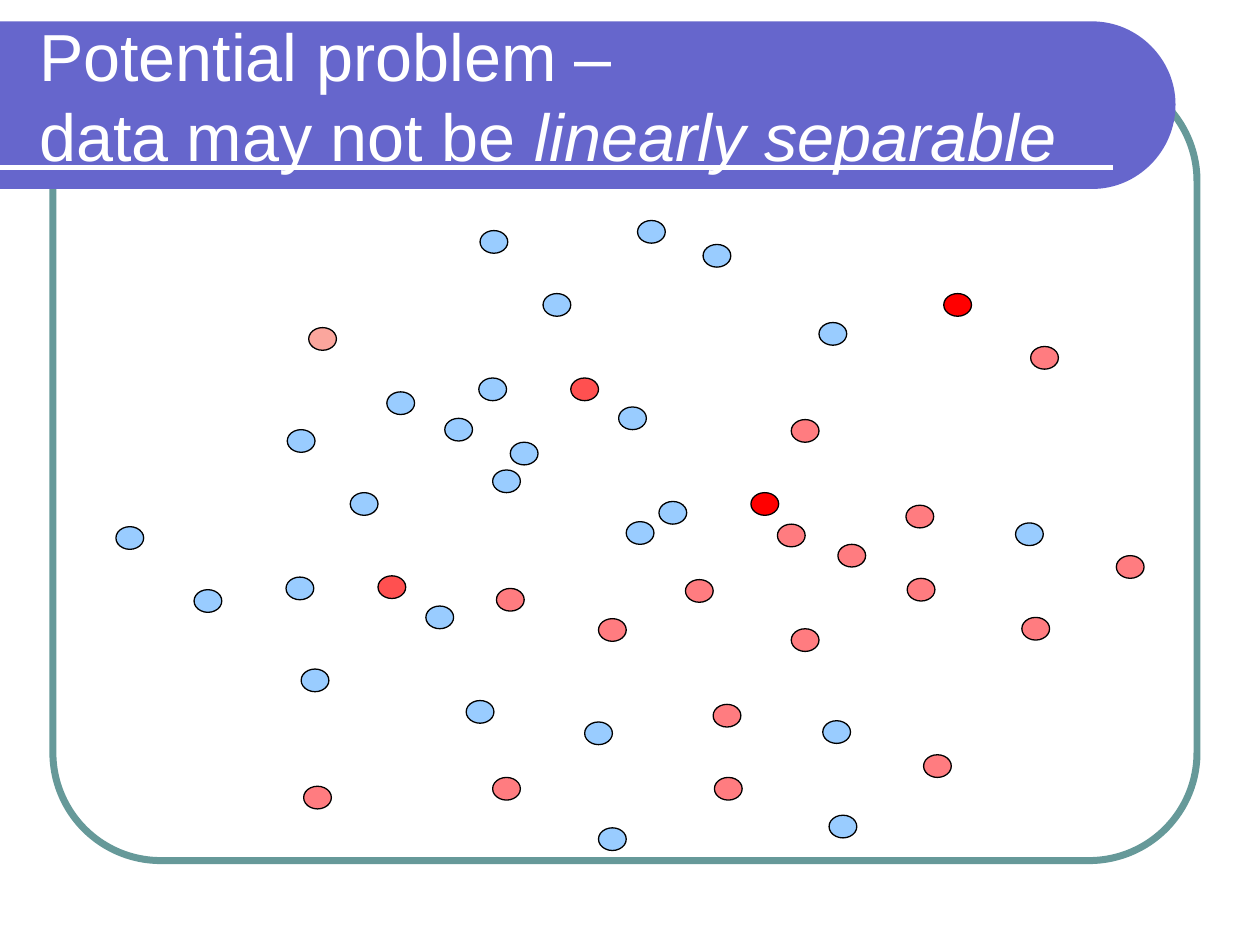
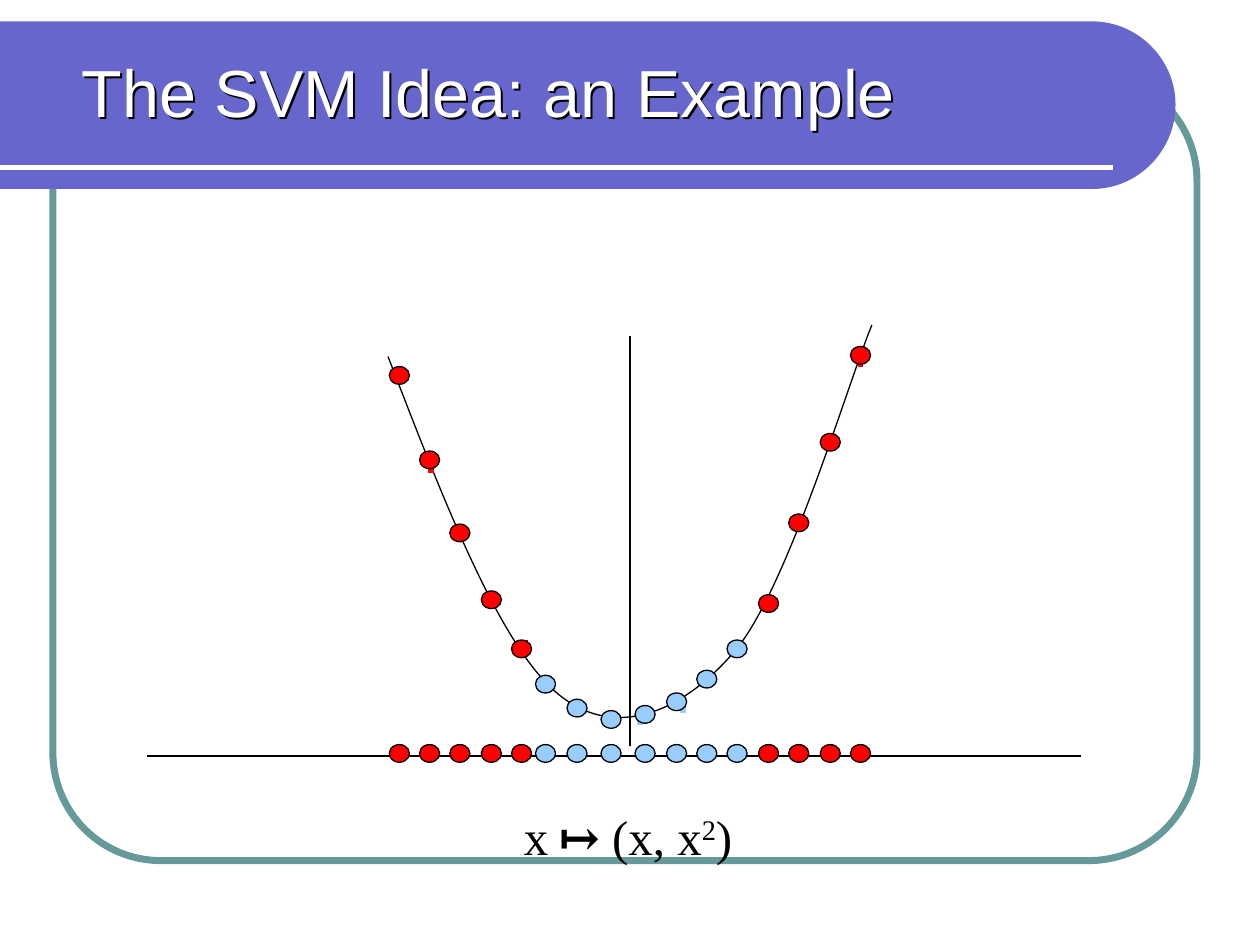
"""Two slides on linear separability and the SVM mapping."""
from dataclasses import dataclass

from lxml import etree
from pptx import Presentation
from pptx.dml.color import RGBColor
from pptx.enum import shapes, text
from pptx.oxml import ns
from pptx.util import Inches, Pt


@dataclass(frozen=True)
class Theme:
    white: str = "FFFFFF"
    black: str = "000000"
    band: str = "6666CC"
    frame: str = "669999"
    blue: str = "99CCFF"
    red: str = "FF0000"
    coral: str = "FF5050"
    pink: str = "FF7C80"
    pale: str = "FBA69D"
    title_font: str = "Arial"
    formula_font: str = "Times New Roman"
    title_size: int = 38
    formula_size: int = 28
    formula_gap_size: int = 24
    thin: float = 0.75
    rule: float = 3
    frame_width: float = 4


THEME = Theme()

SCATTER = {
    THEME.blue: [
        (3.92, 1.92), (5.17, 1.84), (5.69, 2.03), (5.34, 4.07), (4.02, 3.82),
        (6.61, 2.65), (4.42, 2.42), (3.18, 3.2), (5.02, 3.32), (3.91, 3.09),
        (8.17, 4.24), (1.03, 4.27), (2.39, 3.5), (3.64, 3.41), (4.16, 3.6),
        (3.81, 5.65), (2.5, 5.4), (5.08, 4.23), (2.89, 4), (1.65, 4.77),
        (3.49, 4.9), (4.86, 6.66), (2.38, 4.67), (4.75, 5.82), (6.69, 6.56),
        (6.64, 5.81),
    ],
    THEME.pink: [
        (8.29, 2.84), (8.97, 4.5), (6.39, 5.08), (7.3, 4.1), (5.55, 4.69),
        (6.28, 4.25), (7.31, 4.68), (8.22, 4.99), (6.39, 3.42), (4.05, 4.76),
        (6.76, 4.41), (7.44, 6.08), (5.77, 5.68), (4.02, 6.26), (5.78, 6.26),
        (4.86, 5), (2.52, 6.33),
    ],
    THEME.red: [(7.6, 2.42), (6.07, 4)],
    THEME.coral: [(4.64, 3.09), (3.11, 4.66)],
    THEME.pale: [(2.56, 2.69)],
}
SCATTER_DOT = (0.22, 0.18)

CURVE = [
    (3.08, 2.83), (3.52, 3.97), (3.96, 5.11), (4.42, 5.5), (4.88, 5.89),
    (5.42, 5.65), (5.83, 5.17), (6.25, 4.68), (6.74, 3.01), (6.92, 2.58),
]
CURVE_DOTS = [
    (3.17, 2.98), (3.41, 3.65), (3.65, 4.23), (3.9, 4.76), (4.14, 5.15),
    (4.33, 5.43), (4.58, 5.62), (4.85, 5.71), (5.12, 5.67), (5.37, 5.57),
    (5.61, 5.39), (5.85, 5.15), (6.1, 4.79), (6.34, 4.15), (6.59, 3.51),
    (6.83, 2.82),
]
CURVE_DOT = (0.16, 0.14)
AXIS_DOT_Y = 5.98
BLUE_RANGE = (4.2, 6)
TICKS = [
    (4.33, 5.42), (6.83, 2.83), (6.58, 3.5), (5.08, 5.67), (5.42, 5.58),
    (4.83, 5.67), (4.58, 5.58), (4.17, 5.08), (3.42, 3.67),
]
TICK_LENGTH = 0.08
AXES = [((5, 2.67), (5, 5.92)), ((1.17, 6), (8.58, 6))]
SPECK = (3.5, 5.5)
FORMULA = [
    ("x", {}),
    (" ", {"size": Pt(THEME.formula_gap_size)}),
    ("↦", {"bold": True}),
    (" (x, x", {}),
    ("2", {"raised": True}),
    (")", {}),
]
BAND = [
    (0, 0.17), (8.67, 0.17), (9.03, 0.17), (9.33, 0.47), (9.33, 0.83),
    (9.33, 1.2), (9.03, 1.5), (8.67, 1.5), (0, 1.5),
]


def rgb(color):
    return RGBColor.from_string(color)


def paint(shape, fill=None, line=None, width=THEME.thin):
    shape.shadow.inherit = False
    if fill:
        shape.fill.solid()
        shape.fill.fore_color.rgb = rgb(fill)
    else:
        shape.fill.background()
    if line:
        shape.line.color.rgb = rgb(line)
        shape.line.width = Pt(width)
    else:
        shape.line.fill.background()
    return shape


def add_line(page, start, end, color=THEME.black, width=THEME.thin):
    line = page.shapes.add_connector(
        shapes.MSO_CONNECTOR.STRAIGHT, *map(Inches, (*start, *end)))
    line.line.color.rgb = rgb(color)
    line.line.width = Pt(width)
    etree.SubElement(line.element.spPr, ns.qn("a:effectLst"))
    return line


def add_dot(page, center, size, color):
    (x, y), (width, height) = center, size
    box = map(Inches, (x - width / 2, y - height / 2, width, height))
    paint(page.shapes.add_shape(shapes.MSO_SHAPE.OVAL, *box), color, THEME.black)


def add_outline(page, points, curved, close=False):
    start, *rest = [(Inches(x), Inches(y)) for x, y in points]
    builder = page.shapes.build_freeform(*start)
    builder.add_line_segments(rest, close=close)
    shape = builder.convert_to_shape()
    segments = list(shape.element.iter(ns.qn("a:lnTo")))[curved]
    for first in range(0, len(segments), 3):
        bend = etree.Element(ns.qn("a:cubicBezTo"))
        segments[first].addprevious(bend)
        for segment in segments[first:first + 3]:
            bend.append(segment[0])
            segment.getparent().remove(segment)
    return shape


def set_font(font, name, size, color):
    font.name, font.size, font.color.rgb = name, Pt(size), rgb(color)


def move_frame_to_layout(page):
    layout = page.slide_layout
    for holder in list(layout.placeholders)[1:]:
        holder.element.getparent().remove(holder.element)
    frame = page.shapes.add_shape(
        shapes.MSO_SHAPE.ROUNDED_RECTANGLE, *map(Inches, (0.42, 0.58, 9.08, 6.25)))
    frame.adjustments[0] = 0.137
    paint(frame, line=THEME.frame, width=THEME.frame_width)
    band = paint(add_outline(page, BAND, slice(1, 7), close=True), THEME.band)
    rule = add_line(page, (0, 1.33), (8.83, 1.33), THEME.white, THEME.rule)
    tree = layout.placeholders[0].element.getparent()
    for position, part in enumerate((frame, band, rule), start=2):
        tree.insert(position, part.element)


def set_title(page, box, lines):
    title = page.shapes.title
    title.left, title.top, title.width, title.height = map(Inches, box)
    frame = title.text_frame
    frame.word_wrap = True
    frame.auto_size = text.MSO_AUTO_SIZE.NONE
    frame.vertical_anchor = text.MSO_ANCHOR.MIDDLE
    para = frame.paragraphs[0]
    para.alignment = text.PP_ALIGN.LEFT
    set_font(para.font, THEME.title_font, THEME.title_size, THEME.white)
    for number, line in enumerate(lines):
        if number:
            para.add_line_break()
        for words, italic in line:
            span = para.add_run()
            span.text = words
            if italic:
                span.font.italic = True
    return title


def add_text_shadow(title):
    title.fill.background()
    effects = etree.SubElement(title.element.spPr, ns.qn("a:effectLst"))
    shadow = etree.SubElement(
        effects, ns.qn("a:outerShdw"), dist="20000", dir="2700000")
    etree.SubElement(shadow, ns.qn("a:srgbClr"), val=THEME.black)


def add_formula(page):
    box = page.shapes.add_textbox(*map(Inches, (4.06, 6.35, 1.93, 0.57)))
    box.text_frame.word_wrap = False
    box.text_frame.auto_size = text.MSO_AUTO_SIZE.SHAPE_TO_FIT_TEXT
    para = box.text_frame.paragraphs[0]
    set_font(para.font, THEME.formula_font, THEME.formula_size, THEME.black)
    for words, style in FORMULA:
        span = para.add_run()
        span.text = words
        span.font.size = style.get("size")
        span.font.bold = style.get("bold")
        if style.get("raised"):
            span._r.get_or_add_rPr().set("baseline", "30000")


def class_color(x):
    low, high = BLUE_RANGE
    return THEME.blue if low < x < high else THEME.red


def build_scatter(page):
    set_title(page, (0.21, 0.25, 8.77, 1), [
        [("Potential problem –", False)],
        [("data may not be ", False), ("linearly separable", True)],
    ])
    for color, centers in SCATTER.items():
        for center in centers:
            add_dot(page, center, SCATTER_DOT, color)


def build_mapping(page):
    title = set_title(page, (0.55, 0.33, 8.89, 0.79),
                      [[("The SVM Idea: an Example", False)]])
    add_text_shadow(title)
    for start, end in (*AXES, (SPECK, SPECK)):
        add_line(page, start, end)
    paint(add_outline(page, CURVE, slice(None)), line=THEME.black)
    for x, y in TICKS:
        add_line(page, (x, y + TICK_LENGTH), (x, y), class_color(x), THEME.rule)
    add_formula(page)
    for x, y in CURVE_DOTS:
        for height in (AXIS_DOT_Y, y):
            add_dot(page, (x, height), CURVE_DOT, class_color(x))


def main():
    deck = Presentation()
    deck.slide_width, deck.slide_height = Inches(10), Inches(7.5)
    title_only = deck.slide_layouts[5]
    scatter, mapping = (deck.slides.add_slide(title_only) for _ in range(2))
    move_frame_to_layout(scatter)
    build_scatter(scatter)
    build_mapping(mapping)
    deck.save("out.pptx")


if __name__ == "__main__":
    main()
